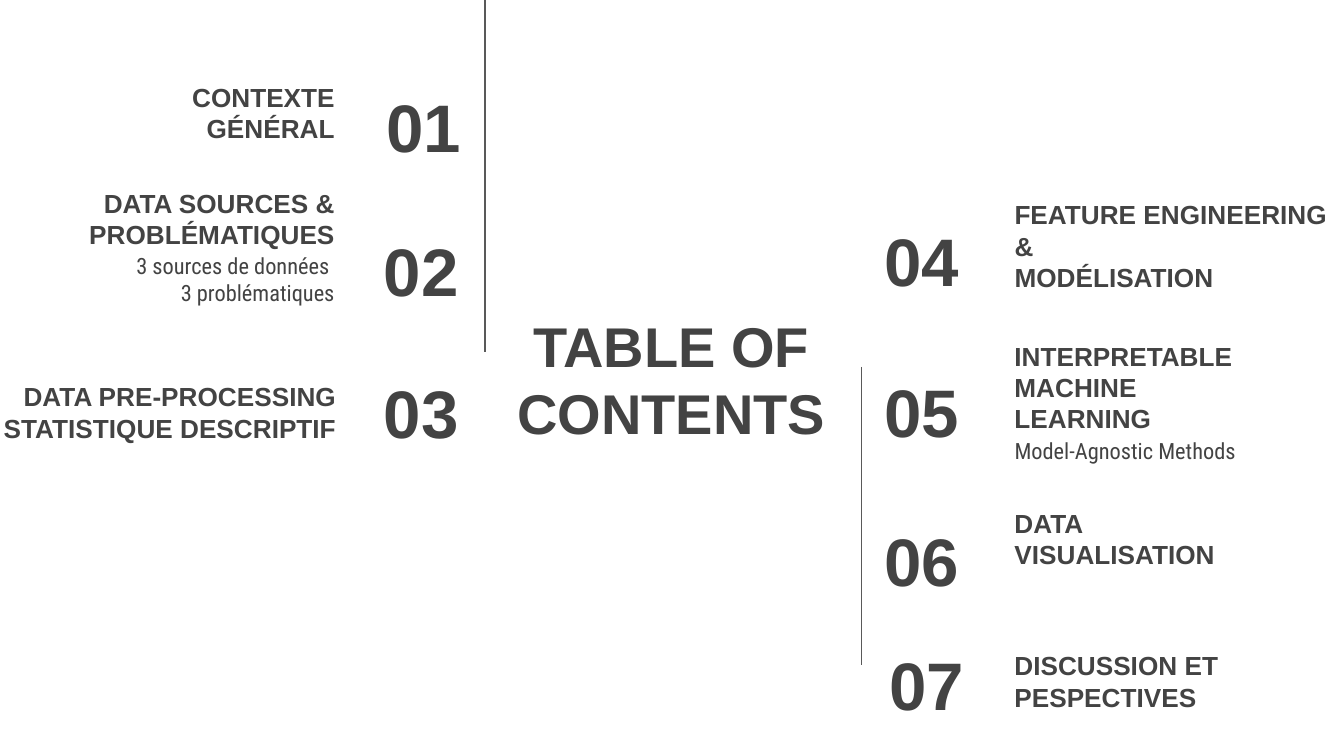
from lxml import etree
from pptx import Presentation
from pptx.dml.color import RGBColor
from pptx.enum.shapes import MSO_CONNECTOR
from pptx.enum.text import MSO_ANCHOR as Anchor, MSO_AUTO_SIZE as AutoSize, PP_ALIGN as Align
from pptx.oxml.ns import qn
from pptx.util import Inches, Pt

# Content: number, its left and top, heading, its left, top and width
LEFT_ENTRIES = [
    ("01", 2.32, 0.62, "CONTEXTE GÉNÉRAL", 0.43, 0.54, 2.16),
    ("02", 2.3, 1.69, "DATA SOURCES & PROBLÉMATIQUES", 0.43, 1.33, 2.16),
    ("03", 2.3, 2.75, "DATA PRE-PROCESSING\vSTATISTIQUE DESCRIPTIF", -0.16, 2.77, 2.76),
]
RIGHT_ENTRIES = [
    ("04", 6.48, 1.62, "FEATURE ENGINEERING &\vMODÉLISATION", 7.45, 1.65, 2.55),
    ("05", 6.48, 2.74, "INTERPRETABLE MACHINE LEARNING", 7.45, 2.7, 2.16),
    ("06", 6.48, 3.85, "DATA VISUALISATION", 7.45, 3.71, 2.16),
    ("07", 6.52, 4.77, "DISCUSSION ET PESPECTIVES", 7.45, 4.77, 2.16),
]
DETAILS = [
    ("3 sources de données \n3 problématiques", 0.76, 1.78, 1.83, Align.RIGHT),
    ("Model-Agnostic Methods", 7.45, 3.15, 2.08, Align.LEFT),
]
DIVIDERS = [(3.61, 0, 2.62), (6.41, 2.73, 4.95)]  # x, top, bottom
SLIDE_WIDTH = 10
SLIDE_HEIGHT = SLIDE_WIDTH * 9 / 16
ROW_HEIGHT = 0.63
INK, RULE = "434343", "595959"


def colour(value):
    return RGBColor.from_string(value)


def write(box, text, size, align, anchor, font="Arial", bold=True):
    frame = box.text_frame
    frame.word_wrap = True
    frame.auto_size = AutoSize.NONE
    frame.vertical_anchor = anchor
    frame.margin_left = frame.margin_right = Inches(0.1)
    frame.margin_top = frame.margin_bottom = Inches(0.1)
    frame.text = text
    for para in frame.paragraphs:
        para.alignment = align
        for span in para.runs:
            span.font.name = font
            span.font.size = Pt(size)
            span.font.bold = bold
            span.font.color.rgb = colour(INK)


def add_text(page, left, top, width, *style, **options):
    box = page.shapes.add_textbox(
        Inches(left), Inches(top), Inches(width), Inches(ROW_HEIGHT))
    write(box, *style, **options)


def add_divider(page, x, top, bottom):
    line = page.shapes.add_connector(
        MSO_CONNECTOR.STRAIGHT, Inches(x), Inches(top), Inches(x), Inches(bottom))
    line.line.color.rgb = colour(RULE)
    line.line.width = Pt(0.75)
    etree.SubElement(line._element.spPr, qn("a:effectLst"))


def main():
    deck = Presentation()
    deck.slide_width, deck.slide_height = Inches(SLIDE_WIDTH), Inches(SLIDE_HEIGHT)
    page = deck.slides.add_slide(deck.slide_layouts[5])

    # Title
    title = page.shapes.title
    title.left, title.top = Inches(3.7), Inches(2.3)
    title.width, title.height = Inches(2.59), Inches(1.03)
    write(title, "TABLE OF CONTENTS", 30, Align.CENTER, Anchor.MIDDLE)

    # Numbered entries, aligned towards the centre on each side
    for entries, align, number_width in (
            (LEFT_ENTRIES, Align.RIGHT, 1.21), (RIGHT_ENTRIES, Align.LEFT, 1.17)):
        for number, x, y, heading, left, top, width in entries:
            add_text(page, x, y, number_width, number, 36, align, Anchor.MIDDLE)
            add_text(page, left, top, width, heading, 14, align, Anchor.BOTTOM)

    # Details below headings
    for text, left, top, width, align in DETAILS:
        add_text(page, left, top, width, text, 12, align, Anchor.TOP,
                 font="Roboto Condensed", bold=False)

    # Dividers
    for divider in DIVIDERS:
        add_divider(page, *divider)

    deck.save("out.pptx")


if __name__ == "__main__":
    main()
